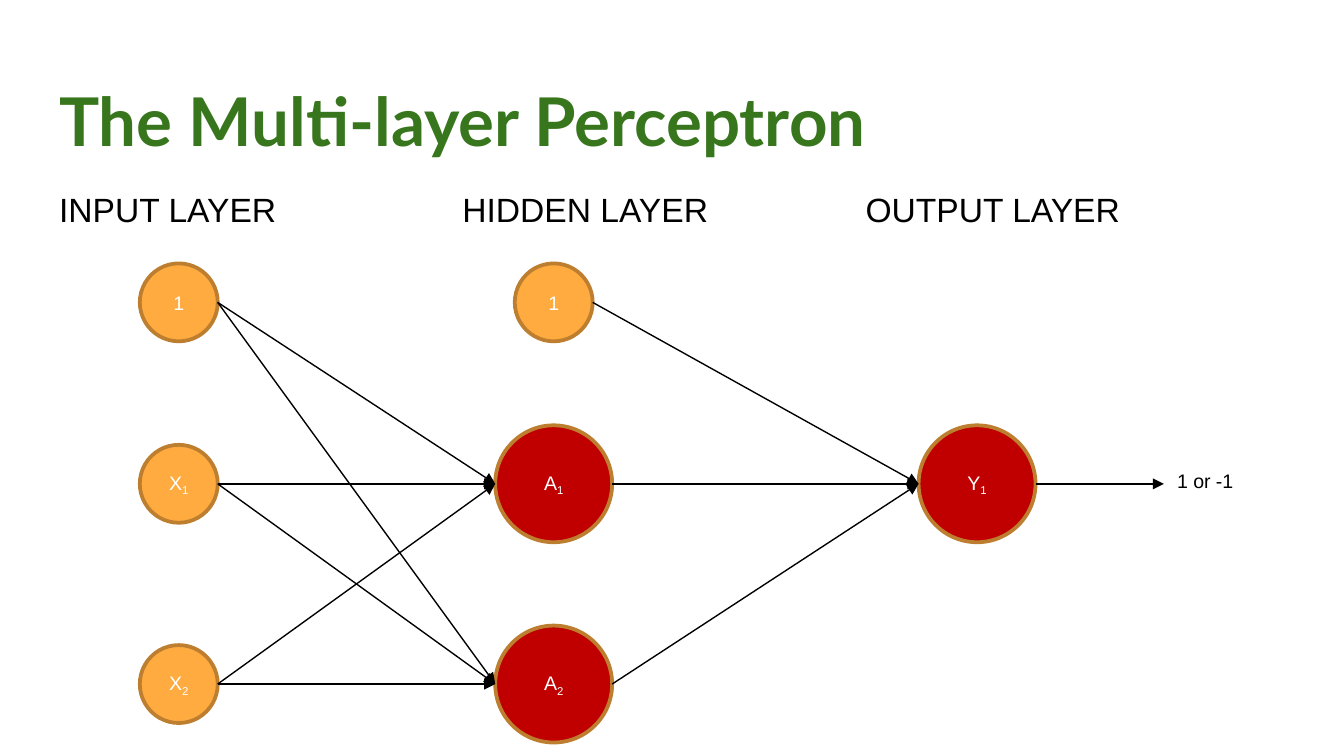
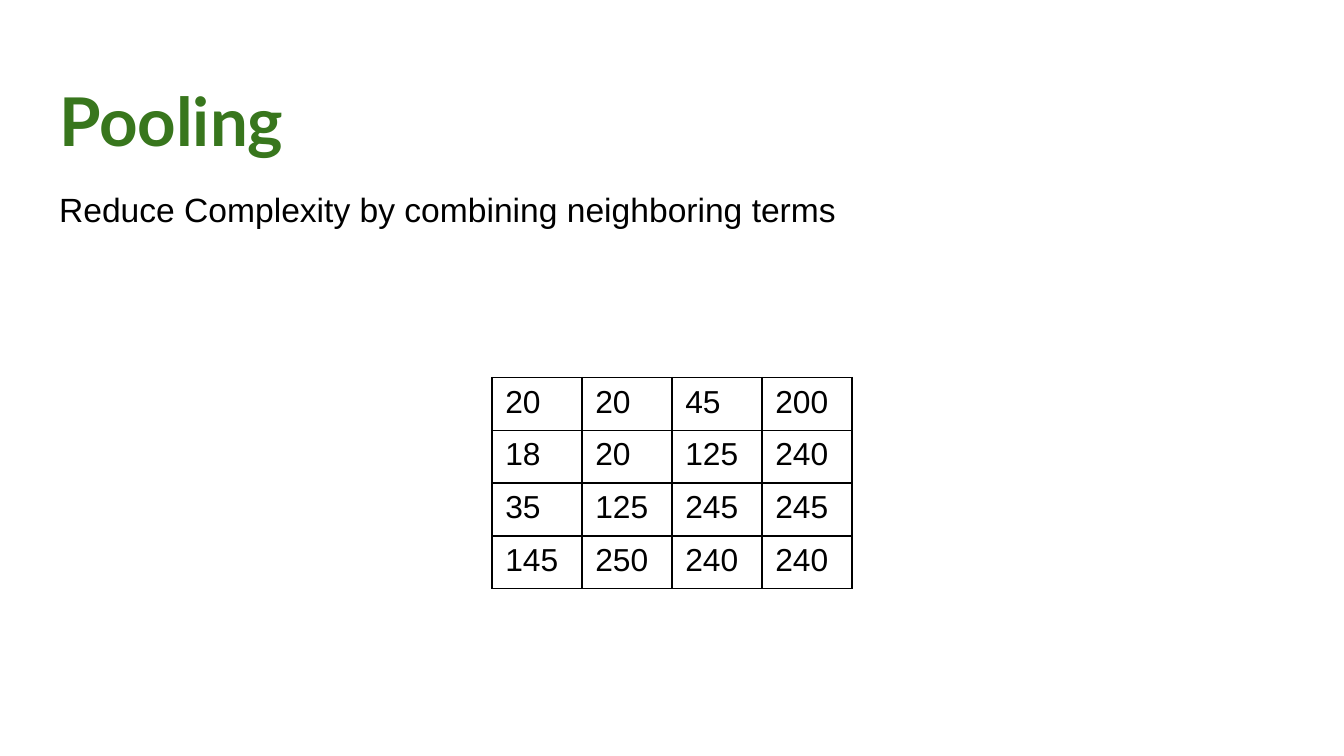
from dataclasses import dataclass

from lxml import etree
from pptx import Presentation
from pptx.dml.color import RGBColor
from pptx.enum.shapes import MSO_CONNECTOR, MSO_SHAPE
from pptx.enum.text import MSO_ANCHOR, MSO_AUTO_SIZE, PP_ALIGN
from pptx.oxml.ns import qn
from pptx.util import Inches, Pt

OVAL = MSO_SHAPE.OVAL
STRAIGHT = MSO_CONNECTOR.STRAIGHT
TOP, MIDDLE = MSO_ANCHOR.TOP, MSO_ANCHOR.MIDDLE
LEFT, CENTER = PP_ALIGN.LEFT, PP_ALIGN.CENTER
NO_FIT, GROW = MSO_AUTO_SIZE.NONE, MSO_AUTO_SIZE.SHAPE_TO_FIT_TEXT


@dataclass(frozen=True)
class Theme:
    green: str = "38761D"
    black: str = "000000"
    white: str = "FFFFFF"
    orange: str = "FFAB40"
    red: str = "C00000"
    outline: str = "BD7F2F"
    title_font: str = "Lato"
    body_font: str = "Arial"
    title_size: float = 36
    body_size: float = 18
    table_size: float = 17
    label_size: float = 10.5


THEME = Theme()

# Widescreen page, in inches
PAGE_WIDTH = 10
PAGE_HEIGHT = PAGE_WIDTH * 9 / 16

# Network geometry, in inches
INPUT_X, HIDDEN_X, OUTPUT_X = 1.33, 4.12, 7.27
ROW_Y = (2.25, 3.6, 5.09)
SMALL, LARGE = 0.58, 0.87
RESULT_X = 8.66

# Node name: centre x, centre y, diameter, colour, letter, subscript
NODES = {
    "input bias": (INPUT_X, ROW_Y[0], SMALL, THEME.orange, "1", ""),
    "x1": (INPUT_X, ROW_Y[1], SMALL, THEME.orange, "X", "1"),
    "x2": (INPUT_X, ROW_Y[2], SMALL, THEME.orange, "X", "2"),
    "hidden bias": (HIDDEN_X, ROW_Y[0], SMALL, THEME.orange, "1", ""),
    "a1": (HIDDEN_X, ROW_Y[1], LARGE, THEME.red, "A", "1"),
    "a2": (HIDDEN_X, ROW_Y[2], LARGE, THEME.red, "A", "2"),
    "y1": (OUTPUT_X, ROW_Y[1], LARGE, THEME.red, "Y", "1"),
}
LAYER_LINKS = (
    (("input bias", "x1", "x2"), ("a1", "a2")),
    (("hidden bias", "a1", "a2"), ("y1",)),
)

POOLING_VALUES = (
    (20, 20, 45, 200),
    (18, 20, 125, 240),
    (35, 125, 245, 245),
    (145, 250, 240, 240),
)


def set_values(target, values):
    for name, value in values.items():
        setattr(target, name, value)


def style_font(font, size, color, name=THEME.body_font, bold=False):
    set_values(font, {"size": Pt(size), "name": name, "bold": bold})
    font.color.rgb = RGBColor.from_string(color)


def place(shape, left, top, width, height):
    set_values(shape, {"left": Inches(left), "top": Inches(top),
                       "width": Inches(width), "height": Inches(height)})


def format_frame(frame, inset):
    set_values(frame, {"word_wrap": True, "auto_size": NO_FIT,
                       "vertical_anchor": TOP})
    set_values(frame, {"margin_" + side: Inches(inset)
                       for side in ("left", "top", "right", "bottom")})


def add_page(deck, title, body):
    """Add a slide with the shared title and lead line."""
    page = deck.slides.add_slide(deck.slide_layouts[1])
    page.background.fill.solid()
    page.background.fill.fore_color.rgb = RGBColor.from_string(THEME.white)

    # Title
    box = page.shapes.title
    place(box, 0.34, 0.49, 9.32, 0.63)
    format_frame(box.text_frame, 0.1)
    box.text_frame.text = title
    para = box.text_frame.paragraphs[0]
    para.alignment = LEFT
    style_font(para.runs[0].font, THEME.title_size, THEME.green,
               THEME.title_font, True)

    # Body, without bullet and with default tabs one inch apart
    box = page.placeholders[1]
    place(box, 0.34, 1.26, 9.32, 3.74)
    format_frame(box.text_frame, 0.1)
    box.text_frame.text = body
    para = box.text_frame.paragraphs[0]
    properties = para._p.get_or_add_pPr()
    for name, inches in (("marL", 0), ("indent", 0), ("defTabSz", 1)):
        properties.set(name, str(Inches(inches)))
    etree.SubElement(properties, qn("a:buNone"))
    set_values(para, {"line_spacing": 1.15, "space_before": Pt(0),
                      "alignment": LEFT})
    style_font(para.runs[0].font, THEME.body_size, THEME.black)
    return page


def add_node(page, x, y, diameter, color, letter, subscript):
    node = page.shapes.add_shape(
        OVAL, Inches(x - diameter / 2), Inches(y - diameter / 2),
        Inches(diameter), Inches(diameter))
    node.shadow.inherit = False
    node.fill.solid()
    node.fill.fore_color.rgb = RGBColor.from_string(color)
    node.line.color.rgb = RGBColor.from_string(THEME.outline)
    node.line.width = Pt(2)
    node.text_frame.vertical_anchor = MIDDLE
    para = node.text_frame.paragraphs[0]
    para.alignment = CENTER
    for text, baseline in ((letter, "0"), (subscript, "-25000")):
        if text:
            span = para.add_run()
            span.text = text
            style_font(span.font, THEME.label_size, THEME.white)
            span._r.get_or_add_rPr().set("baseline", baseline)


def add_arrow(page, start, end):
    arrow = page.shapes.add_connector(
        STRAIGHT, *(Inches(value) for value in start + end))
    arrow.line.color.rgb = RGBColor.from_string(THEME.black)
    arrow.line.width = Pt(0.75)
    etree.SubElement(arrow.line._get_or_add_ln(), qn("a:tailEnd"),
                     type="triangle")
    etree.SubElement(arrow._element.spPr, qn("a:effectLst"))


def node_side(name, direction):
    """Point at the left (-1) or right (1) of a node."""
    x, y, diameter = NODES[name][:3]
    return x + direction * diameter / 2, y


def add_label(page, text, left, top, width, height):
    box = page.shapes.add_textbox(*map(Inches, (left, top, width, height)))
    set_values(box.text_frame, {"word_wrap": True, "auto_size": GROW})
    box.text_frame.text = text
    style_font(box.text_frame.paragraphs[0].runs[0].font,
               THEME.label_size, THEME.black)


def add_borders(cell):
    properties = cell._tc.get_or_add_tcPr()
    for side in ("lnL", "lnR", "lnT", "lnB"):
        line = etree.SubElement(properties, qn("a:" + side), w=str(Pt(1)))
        fill = etree.SubElement(line, qn("a:solidFill"))
        etree.SubElement(fill, qn("a:srgbClr"), val=THEME.black)


def add_grid(page, values, left, top, width, height):
    rows, columns = len(values), len(values[0])
    grid = page.shapes.add_table(
        rows, columns, *map(Inches, (left, top, width, height))).table
    set_values(grid, {"first_row": False, "horz_banding": False})
    for row, numbers in zip(grid.rows, values):
        for cell, number in zip(row.cells, numbers):
            add_borders(cell)
            cell.fill.solid()
            cell.fill.fore_color.rgb = RGBColor.from_string(THEME.white)
            cell.text = str(number)
            style_font(cell.text_frame.paragraphs[0].runs[0].font,
                       THEME.table_size, THEME.black)


def build_perceptron(deck):
    page = add_page(deck, "The Multi-layer Perceptron",
                    "INPUT LAYER\t\tHIDDEN LAYER\t\tOUTPUT LAYER")
    for node in NODES.values():
        add_node(page, *node)
    for sources, targets in LAYER_LINKS:
        for source in sources:
            for target in targets:
                add_arrow(page, node_side(source, 1), node_side(target, -1))
    add_arrow(page, node_side("y1", 1), (RESULT_X, ROW_Y[1]))
    add_label(page, "1 or -1", RESULT_X, 3.44, 0.65, 0.28)


def build_pooling(deck):
    page = add_page(deck, "Pooling",
                    "Reduce Complexity by combining neighboring terms")
    add_grid(page, POOLING_VALUES, 3.66, 2.81, 2.68, 1.57)


def main():
    deck = Presentation()
    set_values(deck, {"slide_width": Inches(PAGE_WIDTH),
                      "slide_height": Inches(PAGE_HEIGHT)})
    build_perceptron(deck)
    build_pooling(deck)
    deck.save("out.pptx")


if __name__ == "__main__":
    main()
